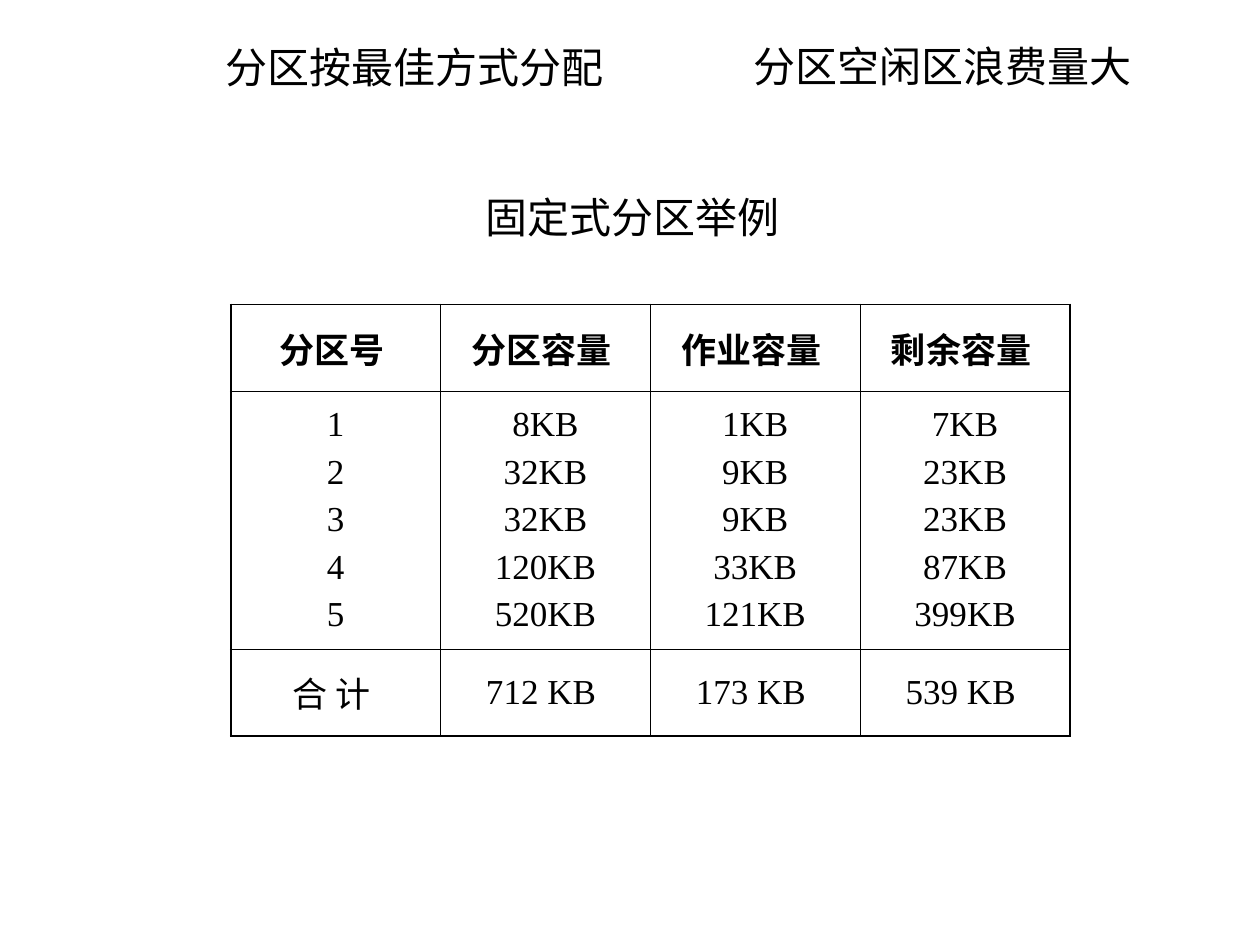
"""Build a slide with a fixed partition allocation table."""
from lxml import etree
from pptx import Presentation
from pptx.dml.color import RGBColor
from pptx.enum.text import MSO_ANCHOR, MSO_AUTO_SIZE, PP_ALIGN
from pptx.oxml.ns import qn
from pptx.util import Cm, Pt

MID = MSO_ANCHOR.MIDDLE
GROW = MSO_AUTO_SIZE.SHAPE_TO_FIT_TEXT
MIDDLE = PP_ALIGN.CENTER
BLACK = RGBColor(0, 0, 0)
FONT = "Times New Roman"
THICK, THIN = Pt(1.08), Pt(0.45)

TITLES = [
    ("固定式分区举例", 9.53, 3.73, 6.63, False, 0),
    ("分区按最佳方式分配", 4.29, 0.71, 11.4, True, 15),
    ("分区空闲区浪费量大", 14.94, 0.7, 8.13, False, 0),
]
HEADS = ["分区号 ", "分区容量 ", "作业容量 ", "剩余容量 "]
PARTS = [
    ["1", "2", "3", "4", "5"],
    ["8KB", "32KB", "32KB", "120KB", "520KB"],
    ["1KB", "9KB", "9KB", "33KB", "121KB"],
    ["7KB", "23KB", "23KB", "87KB", "399KB"],
]
SUMS = ["合 计 ", "712 KB ", "173 KB ", "539 KB "]
ROWS = [[[head] for head in HEADS], PARTS, [[total] for total in SUMS]]
HEIGHTS = [1.74, 5.19, 1.76]
LEFT, TOP, WIDTH = 4.65, 6.14, 4.23


def write(para, text, size, bold=False):
    run = para.add_run()
    run.text = text
    font = run.font
    font.name, font.size, font.bold = FONT, Pt(size), bold
    font.color.rgb = BLACK


def add_title(slide, text, left, top, width, wrap, space):
    box = slide.shapes.add_textbox(Cm(left), Cm(top), Cm(width), Cm(1.28))
    frame = box.text_frame
    frame.word_wrap = wrap
    frame.auto_size = GROW
    para = frame.paragraphs[0]
    para.space_before = Pt(space)
    write(para, text, 24)


def add_edges(cell, edges):
    props = cell._tc.get_or_add_tcPr()
    for spot, (side, outer) in enumerate(edges):
        line = etree.Element(qn(f"a:ln{side}"), w=str(THICK if outer else THIN))
        fill = etree.SubElement(line, qn("a:solidFill"))
        etree.SubElement(fill, qn("a:srgbClr"), val=str(BLACK))
        props.insert(spot, line)


def fill_cell(cell, lines):
    cell.fill.background()
    cell.vertical_anchor = MID
    cell.margin_left = cell.margin_right = Cm(0.25)
    cell.margin_top = cell.margin_bottom = Cm(0.13)
    frame = cell.text_frame
    for i, text in enumerate(lines):
        para = frame.add_paragraph() if i else frame.paragraphs[0]
        para.alignment = MIDDLE
        para.space_before = Pt(5)
        write(para, text, 20, lines[0] in HEADS)


def add_grid(slide):
    high, wide = len(ROWS), len(HEADS)
    table = slide.shapes.add_table(
        high, wide, Cm(LEFT), Cm(TOP), Cm(WIDTH * wide), Cm(sum(HEIGHTS))
    ).table
    table.first_row = table.horz_banding = False
    for col in table.columns:
        col.width = Cm(WIDTH)
    for r, row in enumerate(ROWS):
        table.rows[r].height = Cm(HEIGHTS[r])
        for c, lines in enumerate(row):
            cell = table.cell(r, c)
            fill_cell(cell, lines)
            add_edges(cell, [("L", c == 0), ("R", c == wide - 1),
                             ("T", r == 0), ("B", r == high - 1)])


def main():
    deck = Presentation()
    deck.slide_width, deck.slide_height = Cm(25.4), Cm(19.05)
    slide = deck.slides.add_slide(deck.slide_layouts[6])
    add_title(slide, *TITLES[0])
    add_grid(slide)
    for title in TITLES[1:]:
        add_title(slide, *title)
    deck.save("out.pptx")


if __name__ == "__main__":
    main()
